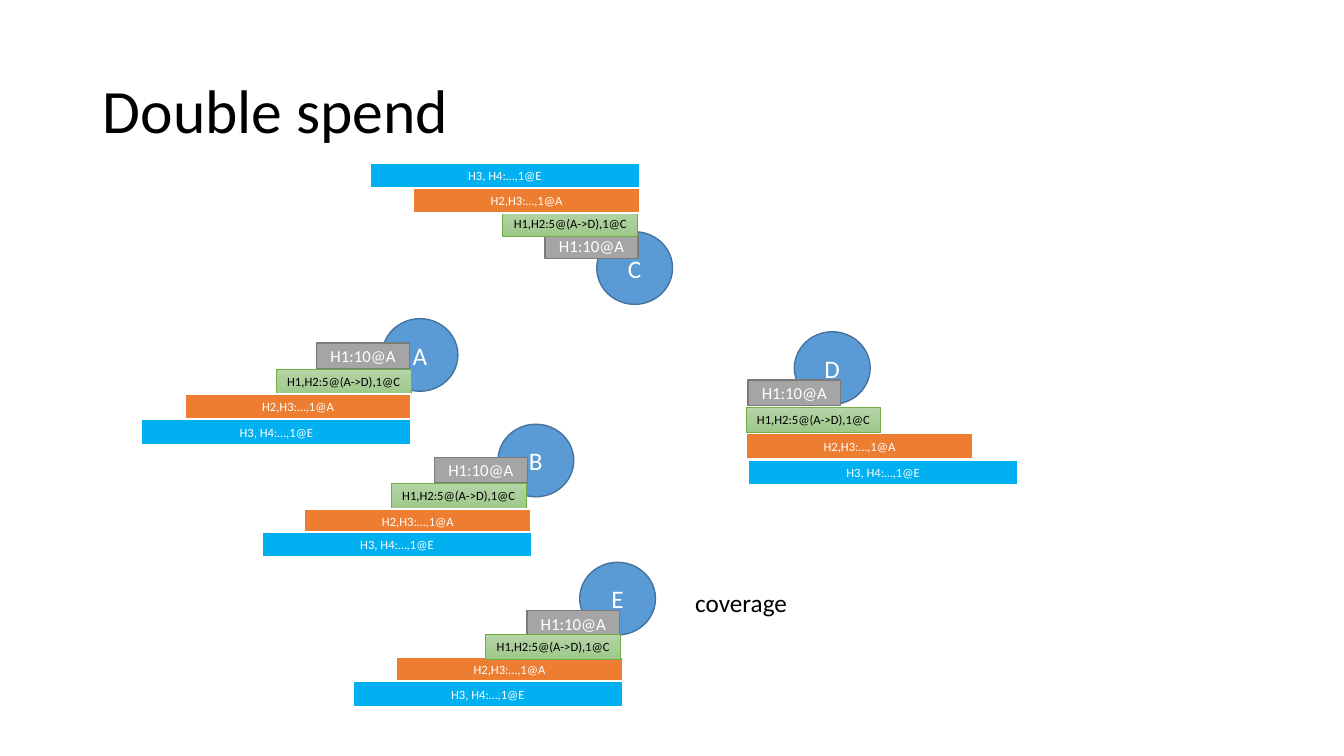
from copy import deepcopy
from pptx import Presentation
from pptx import util as u
from pptx.dml import color
from pptx.enum import shapes, text
from pptx.oxml import ns

FONT = "Calibri"
COLORS = {
    "white": "FFFFFF", "black": "000000",
    "node": "5B9BD5", "node_edge": "43739E",
    "gray": "A5A5A5", "gray_edge": "7A7A7A",
    "green_top": "B5D5A7", "green_mid": "AACE9A", "green_low": "9CC987",
    "green_edge": "70AD47", "orange": "ED7D31", "blue": "00B0F0",
}
OVAL, RECT = shapes.MSO_SHAPE.OVAL, shapes.MSO_SHAPE.RECTANGLE
GREENS = ["green_top", "green_mid", "green_low"]

STYLES = {
    "node": (OVAL, 1.91, 1.83, ["node"], "node_edge", 1, 18, "white"),
    "genesis": (RECT, 2.34, 0.64, ["gray"], "gray_edge", 1, 12, "white"),
    "payment": (RECT, 3.4, 0.64, GREENS, "green_edge", 0.5, 9, "black"),
    "third": (RECT, 5.72, 0.64, ["orange"], "white", 1.5, 9, "white"),
    "fourth": (RECT, 6.81, 0.64, ["blue"], "white", 1.5, 9, "white"),
}
BLOCK_TEXT = {
    "genesis": "H1:10@A",
    "payment": "H1,H2:5@(A->D),1@C",
    "third": "H2,H3:…,1@A",
    "fourth": "H3, H4:…,1@E",
}
LEDGERS = {
    "A": {"node": (9.63, 8.03), "genesis": (7.98, 8.64), "payment": (6.96, 9.3),
          "third": (4.65, 9.93), "fourth": (3.56, 10.57)},
    "B": {"node": (12.55, 10.69), "genesis": (10.95, 11.53), "payment": (9.86, 12.17),
          "third": (7.67, 12.83), "fourth": (6.6, 13.41)},
    "C": {"node": (15.04, 5.84), "genesis": (13.74, 5.87), "payment": (12.67, 5.31),
          "third": (10.41, 4.72), "fourth": (9.32, 4.11)},
    "D": {"node": (20.02, 8.36), "genesis": (18.85, 9.58), "third": (18.8, 10.92),
          "fourth": (18.85, 11.58), "payment": (18.8, 10.26)},
    "E": {"node": (14.61, 14.17), "genesis": (13.28, 15.39), "third": (9.98, 16.56),
          "fourth": (8.89, 17.17), "payment": (12.24, 15.98)},
}
LABELS = [
    ("Double spend", (2.34, 1.02, 29.21, 3.68), 44, text.MSO_ANCHOR.MIDDLE, 0.9, True),
    ("coverage", (17.27, 14.68, 2.84, 1.02), 18, text.MSO_ANCHOR.TOP, 1.0, False),
]


def rgb(name):
    return color.RGBColor.from_string(COLORS[name])


def write(frame, words, size, ink, anchor, wrap):
    frame.word_wrap = wrap
    frame.vertical_anchor = anchor
    paragraph = frame.paragraphs[0]
    run = paragraph.add_run()
    run.text = words
    run.font.name = FONT
    run.font.size = u.Pt(size)
    run.font.color.rgb = rgb(ink)
    return paragraph


def paint(fill, tones, element):
    if len(tones) == 1:
        fill.solid()
        fill.fore_color.rgb = rgb(tones[0])
        return
    fill.gradient()
    fill.gradient_angle = 270
    first = element.find(".//" + ns.qn("a:gs"))
    first.addnext(deepcopy(first))
    for index, (stop, tone) in enumerate(zip(fill.gradient_stops, tones)):
        stop.position = index / (len(tones) - 1)
        stop.color.rgb = rgb(tone)


def draw(kind, words, left, top):
    outline, width, height, tones, edge, weight, size, ink = STYLES[kind]
    block = slide.shapes.add_shape(outline, *map(u.Cm, (left, top, width, height)))
    block.shadow.inherit = False
    paint(block.fill, tones, block._element)
    block.line.color.rgb = rgb(edge)
    block.line.width = u.Pt(weight)
    paragraph = write(block.text_frame, words, size, ink, text.MSO_ANCHOR.MIDDLE, False)
    paragraph.alignment = text.PP_ALIGN.CENTER


deck = Presentation()
deck.slide_width, deck.slide_height = u.Cm(33.87), u.Cm(19.05)
slide = deck.slides.add_slide(deck.slide_layouts[6])

for words, box, size, anchor, spacing, wrap in LABELS:
    label = slide.shapes.add_textbox(*map(u.Cm, box))
    write(label.text_frame, words, size, "black", anchor, wrap).line_spacing = spacing

for owner, ledger in LEDGERS.items():
    for kind, place in ledger.items():
        draw(kind, BLOCK_TEXT.get(kind, owner), *place)

deck.save("out.pptx")
